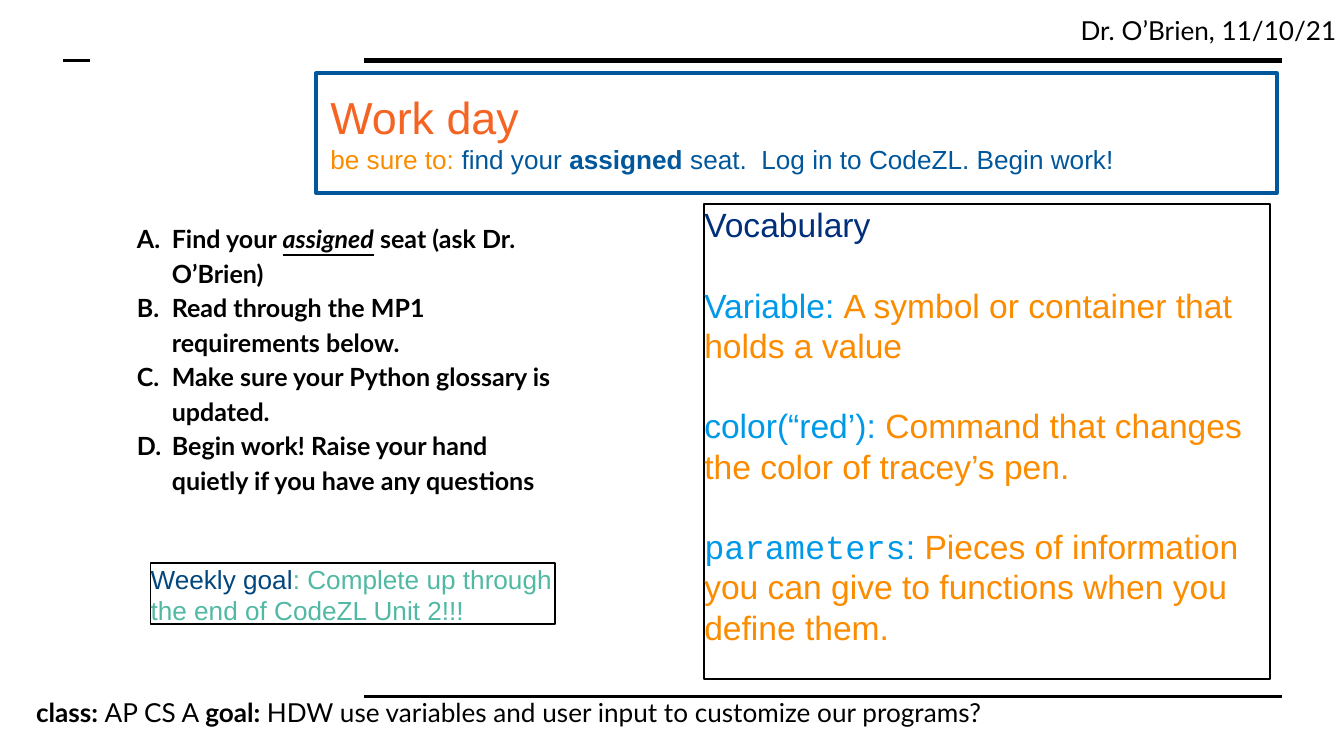
from dataclasses import dataclass
from lxml.etree import SubElement as Sub
from pptx import Presentation
from pptx.dml.color import RGBColor as RGB
from pptx.enum.shapes import MSO_CONNECTOR as Link, MSO_SHAPE as Form
from pptx.enum.text import MSO_ANCHOR as Anchor, PP_ALIGN as Align
from pptx.oxml.ns import qn
from pptx.util import Inches, Pt


@dataclass(frozen=True)
class Theme:
    black: str = "000000"
    white: str = "FFFFFF"
    blue: str = "01579B"
    navy: str = "012F7B"
    deep: str = "01467C"
    sky: str = "0099E8"
    amber: str = "FB8C00"
    coral: str = "F46524"
    mint: str = "51B9A3"
    sans: str = "Arial"
    body: str = "Lato"
    mono: str = "Courier New"
    head: float = 24
    term: float = 18
    note: float = 14
    step: float = 13.4


def write(frame, paras, gap=0, space=1.0, list_in=0, **base):
    """Fill a frame with paragraphs of (text, format) runs."""
    for i, runs in enumerate(paras):
        para = frame.paragraphs[0] if i == 0 else frame.add_paragraph()
        if list_in:
            props = para._p.get_or_add_pPr()
            props.set("marL", str(Inches(list_in)))
            props.set("indent", str(-Inches(list_in)))
            Sub(props, qn("a:buAutoNum"), type="alphaUcPeriod")
        para.alignment = Align.LEFT
        para.line_spacing = space
        para.space_before = Pt(gap if i else 0)
        for text, own in runs:
            look = {**base, **own}
            run = para.add_run()
            run.text = text
            font = run.font
            font.name, font.size = look["face"], Pt(look["size"])
            font.color.rgb = RGB.from_string(look["color"])
            font.bold = look.get("bold", False)
            font.italic = look.get("italic", False)
            font.underline = look.get("under", False)


class Board:
    """Draws on one slide, with lengths in percent of its size."""

    def __init__(self, theme):
        self.theme = theme
        self.deck = Presentation()
        self.deck.slide_width = Inches(10)
        self.deck.slide_height = Inches(10) * 9 // 16
        self.slide = self.deck.slides.add_slide(self.deck.slide_layouts[6])

    def place(self, *spots):
        """Turn percent pairs of x and y into slide lengths."""
        sides = self.deck.slide_width, self.deck.slide_height
        return [int(sides[i % 2] * spot / 100) for i, spot in enumerate(spots)]

    def rule(self, left, right, y, width):
        """Draw a level line."""
        line = self.slide.shapes.add_connector(
            Link.STRAIGHT, *self.place(left, y, right, y))
        line.line.color.rgb = RGB.from_string(self.theme.black)
        line.line.width = Pt(width)
        Sub(line._element.spPr, qn("a:effectLst"))

    def frame(self, spots, color, width, fill=None):
        """Draw an outlined box."""
        box = self.slide.shapes.add_shape(Form.RECTANGLE, *self.place(*spots))
        box.shadow.inherit = False
        box.line.color.rgb = RGB.from_string(color)
        box.line.width = Pt(width)
        if fill:
            box.fill.solid()
            box.fill.fore_color.rgb = RGB.from_string(fill)
        else:
            box.fill.background()
        return box

    def text(self, spots, paras, box=None, inset=0.1, wrap=True,
             anchor=Anchor.TOP, **look):
        """Write text in a given box or a new one."""
        box = box or self.slide.shapes.add_textbox(*self.place(*spots))
        area = box.text_frame
        area.word_wrap, area.vertical_anchor = wrap, anchor
        area.margin_left = area.margin_right = Inches(inset)
        area.margin_top = area.margin_bottom = Inches(inset)
        write(area, paras, **look)

    def panel(self, spots, paras, **look):
        """Draw a black-edged box with text up to its edge."""
        box = self.frame(spots, self.theme.black, 1)
        self.text(spots, paras, box=box, inset=0, face=self.theme.sans, **look)


def main():
    theme = Theme()
    board = Board(theme)
    bold = {"bold": True}
    sky, amber = {"color": theme.sky}, {"color": theme.amber}
    plain = {"face": theme.body, "size": theme.note, "color": theme.black}

    for left, right, y, width in (
            (27.1, 95.4, 8, 3), (27.1, 95.4, 92.1, 1.5), (4.7, 6.7, 8, 1.5)):
        board.rule(left, right, y, width)

    board.text((1.7, 90.3, 93.5, 7.8), [[
        ("class: ", bold), ("AP CS A ", {}), ("goal: ", bold),
        ("HDW use variables and user input to customize our programs?", {}),
    ]], **plain)
    board.text((80.4, 0.1, 19.6, 7.8), [[("Dr. O’Brien, 11/10/21", {})]],
               inset=0, anchor=Anchor.MIDDLE, **plain)

    board.frame((23.5, 9.7, 71.5, 15.8), theme.blue, 2, theme.white)
    board.text((23.6, 9.9, 71.2, 15.3), [
        [("Work day", {"size": theme.head, "color": theme.coral})],
        [("be sure to: ", amber), ("find your ", {}), ("assigned ", bold),
         ("seat.  Log in to CodeZL. Begin work!", {})],
    ], anchor=Anchor.MIDDLE, face=theme.sans, size=theme.note, color=theme.blue)

    board.panel((52.4, 27, 42.1, 62.8), [
        [("Vocabulary", {"color": theme.navy})],
        [("Variable: ", sky),
         ("A symbol or container that holds a value", amber)],
        [("color(“red’): ", sky),
         ("Command that changes the color of tracey’s pen.", amber)],
        [("parameters", {**sky, "face": theme.mono}), (": ", sky),
         ("Pieces of information you can give to functions when you "
          "define them.", amber)],
    ], gap=21.5, size=theme.term)

    board.panel((11.2, 74.5, 30.1, 8), [
        [("Weekly goal", {"color": theme.deep}), (": Complete up through", {})],
        [("the end of CodeZL Unit 2!!!", {})],
    ], wrap=False, size=theme.note, color=theme.mint)

    board.text((9.2, 27.2, 34.1, 43.7), [
        [("Find your ", {}), ("assigned", {"italic": True, "under": True}),
         (" seat (ask Dr. O’Brien)", {})],
        [("Read through the MP1 requirements below.", {})],
        [("Make sure your Python glossary is updated.", {})],
        [("Begin work! Raise your hand quietly if you have any questions", {})],
    ], list_in=0.26, space=1.15, face=theme.body, size=theme.step,
        color=theme.black, bold=True)

    board.deck.save("out.pptx")


if __name__ == "__main__":
    main()
